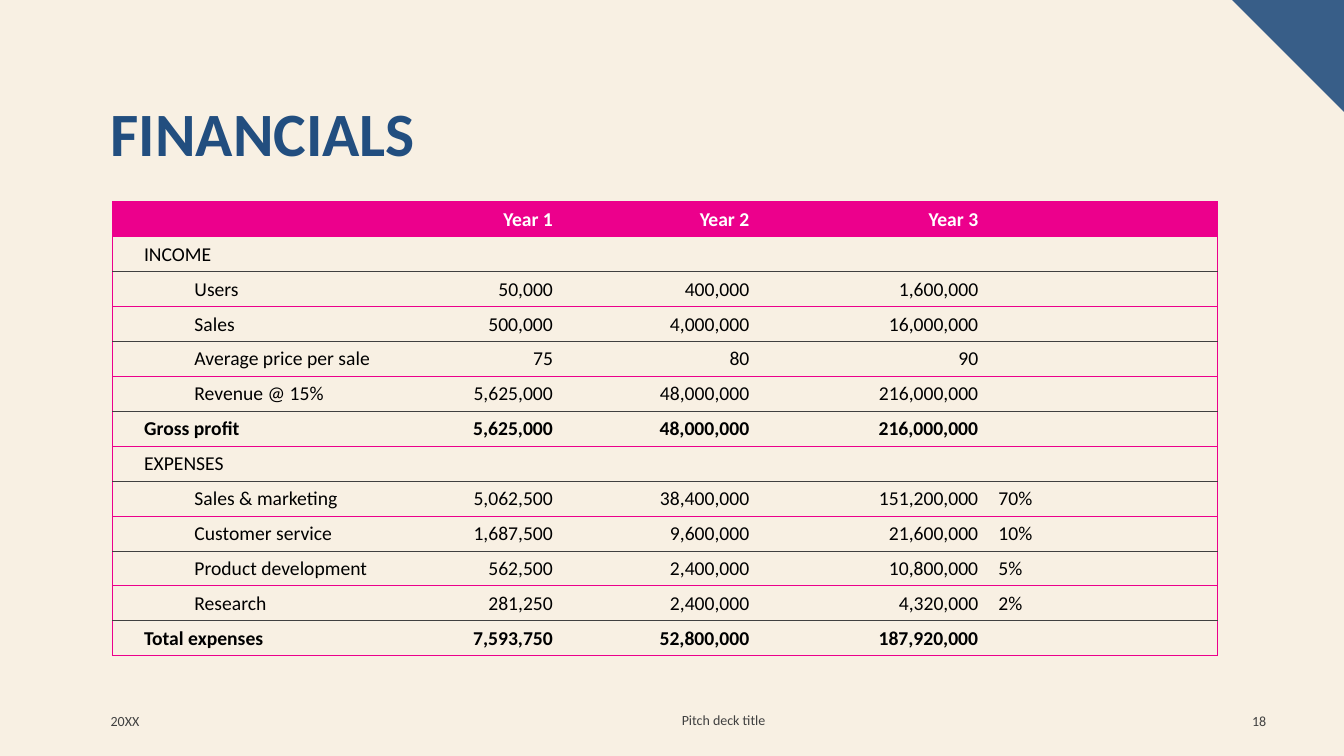
from dataclasses import dataclass

from lxml.etree import SubElement
from pptx import Presentation
from pptx.dml.color import RGBColor
from pptx.enum.text import MSO_ANCHOR as Anchor, PP_ALIGN as Align
from pptx.oxml import parse_xml
from pptx.oxml.ns import nsdecls, qn
from pptx.util import Cm, Pt


@dataclass(frozen=True)
class Theme:
    font: str = "Calibri"
    background: str = "F8F0E3"
    corner: str = "385E88"
    title: str = "224E7F"
    accent: str = "EC008C"
    rule: str = "404040"
    header_text: str = "FFFFFF"
    body_text: str = "000000"
    footer_text: str = "404040"
    title_size: int = 44
    table_size: int = 14
    footer_size: int = 10
    border_width: float = 0.5


THEME = Theme()
NO_GRID_STYLE = "{2D5ABB26-0587-4C30-8999-92F81FD0307C}"
COLUMN_WIDTHS = (7.9, 3.45, 4.95, 5.77, 5.77)
ROW_HEIGHT = 0.88
SECTIONS = ("INCOME", "EXPENSES")
TOTALS = ("Gross profit", "Total expenses")
FINANCIALS = (
    ("", "Year 1", "Year 2", "Year 3", ""),
    ("INCOME", "", "", "", ""),
    ("Users", "50,000", "400,000", "1,600,000", ""),
    ("Sales", "500,000", "4,000,000", "16,000,000", ""),
    ("Average price per sale", "75", "80", "90", ""),
    ("Revenue @ 15%", "5,625,000", "48,000,000", "216,000,000", ""),
    ("Gross profit", "5,625,000", "48,000,000", "216,000,000", ""),
    ("EXPENSES", "", "", "", ""),
    ("Sales & marketing", "5,062,500", "38,400,000", "151,200,000", "70%"),
    ("Customer service", "1,687,500", "9,600,000", "21,600,000", "10%"),
    ("Product development", "562,500", "2,400,000", "10,800,000", "5%"),
    ("Research", "281,250", "2,400,000", "4,320,000", "2%"),
    ("Total expenses", "7,593,750", "52,800,000", "187,920,000", ""),
)


def write_text(frame, text, *, size, color, bold=False, align=Align.LEFT,
               spacing=None, indent=0):
    paragraph = frame.paragraphs[0]
    paragraph.alignment = align
    if spacing:
        paragraph.line_spacing = spacing
    if indent:
        paragraph.level = 1
        properties = paragraph._p.get_or_add_pPr()
        properties.set("marL", str(Cm(indent)))
        properties.set("indent", "0")
    if not text:
        SubElement(paragraph._p, qn("a:endParaRPr"), sz=str(size * 100))
        return
    run = paragraph.add_run()
    run.text = text
    run.font.name = THEME.font
    run.font.size = Pt(size)
    run.font.bold = bold
    run.font.color.rgb = RGBColor.from_string(color)


def add_text(slide, text, left, top, width, height, anchor=Anchor.MIDDLE, **text_format):
    box = slide.shapes.add_textbox(Cm(left), Cm(top), Cm(width), Cm(height))
    box.text_frame.word_wrap = True
    box.text_frame.vertical_anchor = anchor
    write_text(box.text_frame, text, **text_format)


def add_corner(slide, slide_width, side):
    left, right = Cm(slide_width - side), Cm(slide_width)
    builder = slide.shapes.build_freeform(left, 0)
    builder.add_line_segments([(right, 0), (right, Cm(side))], close=True)
    corner = builder.convert_to_shape()
    corner.shadow.inherit = False
    corner.fill.solid()
    corner.fill.fore_color.rgb = RGBColor.from_string(THEME.corner)
    corner.line.fill.background()


def set_borders(cell, borders):
    properties = cell._tc.get_or_add_tcPr()
    for position, (side, color) in enumerate(borders.items()):
        properties.insert(position, parse_xml(
            f'<a:ln{side} {nsdecls("a")} w="{Pt(THEME.border_width)}"><a:solidFill>'
            f'<a:srgbClr val="{color}"/></a:solidFill></a:ln{side}>'))


def cell_borders(row, column):
    borders = {}
    if column == 0:
        borders["L"] = THEME.accent
    if column == len(COLUMN_WIDTHS) - 1:
        borders["R"] = THEME.accent
    borders["T"] = THEME.accent if row < 2 or row % 2 else THEME.rule
    borders["B"] = THEME.rule if row % 2 else THEME.accent
    return borders


def format_cell(cell, row, column, text):
    label = FINANCIALS[row][0]
    is_header = row == 0
    is_item = not is_header and label not in SECTIONS + TOTALS
    cell.vertical_anchor = Anchor.BOTTOM
    if column == 0 and not is_header:
        cell.margin_left = Cm(0.79)
    if is_header:
        cell.fill.solid()
        cell.fill.fore_color.rgb = RGBColor.from_string(THEME.accent)
    else:
        cell.fill.background()
    write_text(
        cell.text_frame, text,
        size=THEME.table_size,
        color=THEME.header_text if is_header else THEME.body_text,
        bold=is_header or label in TOTALS,
        align=Align.RIGHT if 1 <= column <= 3 else Align.LEFT,
        indent=1.27 if is_item and column == 0 else 0)
    set_borders(cell, cell_borders(row, column))


def add_financial_table(slide, left, top):
    row_count = len(FINANCIALS)
    table = slide.shapes.add_table(
        row_count, len(COLUMN_WIDTHS), Cm(left), Cm(top),
        Cm(sum(COLUMN_WIDTHS)), Cm(ROW_HEIGHT * row_count)).table
    table.horz_banding = False
    table._tbl.tblPr.find(qn("a:tableStyleId")).text = NO_GRID_STYLE
    for column, width in zip(table.columns, COLUMN_WIDTHS):
        column.width = Cm(width)
    for row, values in enumerate(FINANCIALS):
        table.rows[row].height = Cm(ROW_HEIGHT)
        for column, text in enumerate(values):
            format_cell(table.cell(row, column), row, column, text)


def main():
    presentation = Presentation()
    presentation.slide_width = Cm(33.87)
    presentation.slide_height = Cm(19.05)
    slide = presentation.slides.add_slide(presentation.slide_layouts[6])
    slide.background.fill.solid()
    slide.background.fill.fore_color.rgb = RGBColor.from_string(THEME.background)

    add_corner(slide, slide_width=33.87, side=2.82)
    add_text(slide, "FINANCIALS", 2.54, 2.49, 29.21, 3.68, anchor=Anchor.TOP,
             size=THEME.title_size, color=THEME.title, bold=True, spacing=0.9)
    add_financial_table(slide, left=2.84, top=5.08)

    footer = {"size": THEME.footer_size, "color": THEME.footer_text}
    add_text(slide, "20XX", 2.54, 17.65, 3.05, 1.02, **footer)
    add_text(slide, "Pitch deck title", 15.06, 17.63, 6.35, 1.02,
             align=Align.CENTER, **footer)
    add_text(slide, "18", 30.89, 17.65, 1.27, 1.02, align=Align.RIGHT, **footer)
    presentation.save("out.pptx")


if __name__ == "__main__":
    main()
